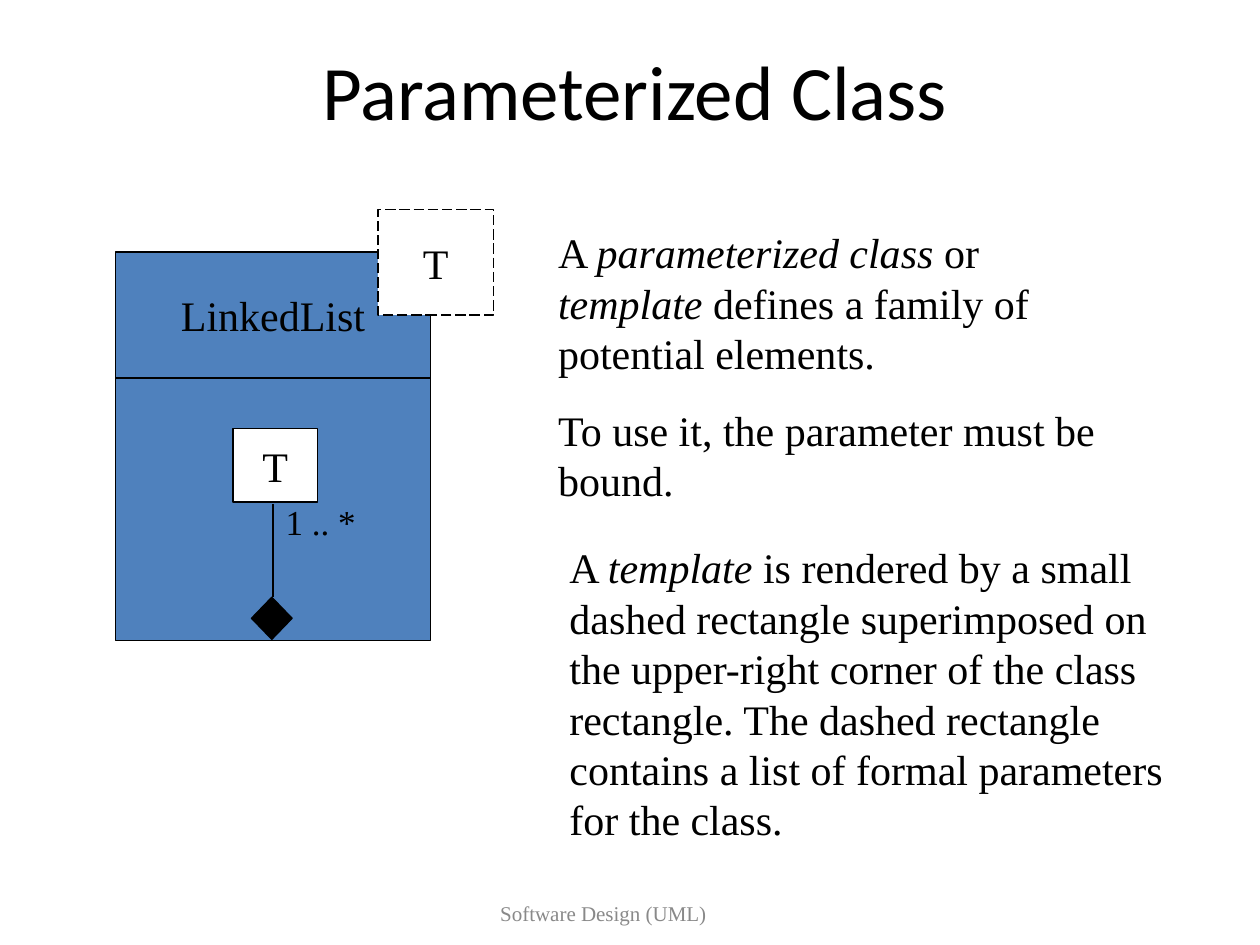
from lxml.etree import SubElement
from pptx import Presentation
from pptx.dml.color import RGBColor
from pptx.enum.dml import MSO_LINE
from pptx.enum.shapes import MSO_CONNECTOR, MSO_SHAPE
from pptx.enum.text import MSO_ANCHOR, PP_ALIGN
from pptx.oxml.ns import qn
from pptx.util import Cm, Pt

SERIF = "Times New Roman"
BLACK, WHITE, BLUE, GREY = "000000", "FFFFFF", "4F81BD", "898989"


def tint(code):
    """Turn a hex string into a colour."""
    return RGBColor.from_string(code)


def write(frame, paras, size=24, face=SERIF, color=BLACK, align=PP_ALIGN.LEFT):
    """Fill a frame with paragraphs, each a list of runs; odd runs are italic."""
    for i, runs in enumerate(paras):
        para = frame.add_paragraph() if i else frame.paragraphs[0]
        para.alignment = align
        if i:
            para.space_before = Pt(15)
        font = para.font
        font.size, font.name, font.color.rgb = Pt(size), face, tint(color)
        for j, text in enumerate(runs):
            run = para.add_run()
            run.text = text
            if j % 2:
                run.font.italic = True


def add_text(slide, box, paras, anchor=MSO_ANCHOR.TOP, **style):
    """Add a wrapping text box."""
    frame = slide.shapes.add_textbox(*map(Cm, box)).text_frame
    frame.word_wrap = True
    frame.vertical_anchor = anchor
    write(frame, paras, **style)


def add_box(slide, box, fill, label="", kind=MSO_SHAPE.RECTANGLE, dash=None):
    """Add an outlined shape with an optional centred label."""
    shape = slide.shapes.add_shape(kind, *map(Cm, box))
    shape.shadow.inherit = False
    shape.fill.solid()
    shape.fill.fore_color.rgb = tint(fill)
    shape.line.color.rgb = tint(BLACK)
    shape.line.width = Pt(0.75)
    if dash:
        shape.line.dash_style = dash
    if label:
        frame = shape.text_frame
        frame.word_wrap = False
        frame.vertical_anchor = MSO_ANCHOR.MIDDLE
        write(frame, [[label]], align=PP_ALIGN.CENTER)


def add_line(slide, ends):
    """Add a plain straight line."""
    line = slide.shapes.add_connector(MSO_CONNECTOR.STRAIGHT, *map(Cm, ends))
    line.line.color.rgb = tint(BLACK)
    line.line.width = Pt(1.5)
    SubElement(line._element.spPr, qn("a:effectLst"))


def main():
    """Build the slide and save it."""
    deck = Presentation()
    deck.slide_width, deck.slide_height = Cm(25.4), Cm(19.05)
    slide = deck.slides.add_slide(deck.slide_layouts[6])
    mid = {"anchor": MSO_ANCHOR.MIDDLE, "align": PP_ALIGN.CENTER}

    add_text(slide, (1.9, 1.07, 21.8, 1.47), [["Parameterized Class"]],
             size=44, face="Calibri", **mid)
    add_text(slide, (6.55, 17.78, 11.23, 1.27), [["Software Design (UML)"]],
             size=12, color=GREY, **mid)

    add_box(slide, (2.33, 5.08, 6.35, 2.54), BLUE, "LinkedList")
    add_box(slide, (7.62, 4.23, 2.33, 2.12), WHITE, "T", dash=MSO_LINE.LONG_DASH)
    add_box(slide, (2.33, 7.62, 6.35, 5.29), BLUE)
    add_box(slide, (4.7, 8.64, 1.7, 1.48), WHITE, "T")
    add_line(slide, (5.5, 12.04, 5.5, 10.16))
    add_box(slide, (5.07, 12.04, 0.82, 0.85), BLACK, kind=MSO_SHAPE.DIAMOND)
    add_text(slide, (5.51, 9.96, 2.33, 1.12), [["1 .. *"]], size=20)

    add_text(slide, (11, 4.45, 11.85, 5.87), [
        ["A ", "parameterized class", " or ", "template",
         " defines a family of potential elements."],
        ["To use it, the parameter must be bound."]])
    add_text(slide, (11.23, 10.8, 12.5, 6.35), [
        ["A ", "template ", "is rendered by a small dashed rectangle superimposed "
         "on the upper-right corner of the class rectangle. The dashed rectangle "
         "contains a list of formal parameters for the class."]])
    deck.save("out.pptx")


if __name__ == "__main__":
    main()
